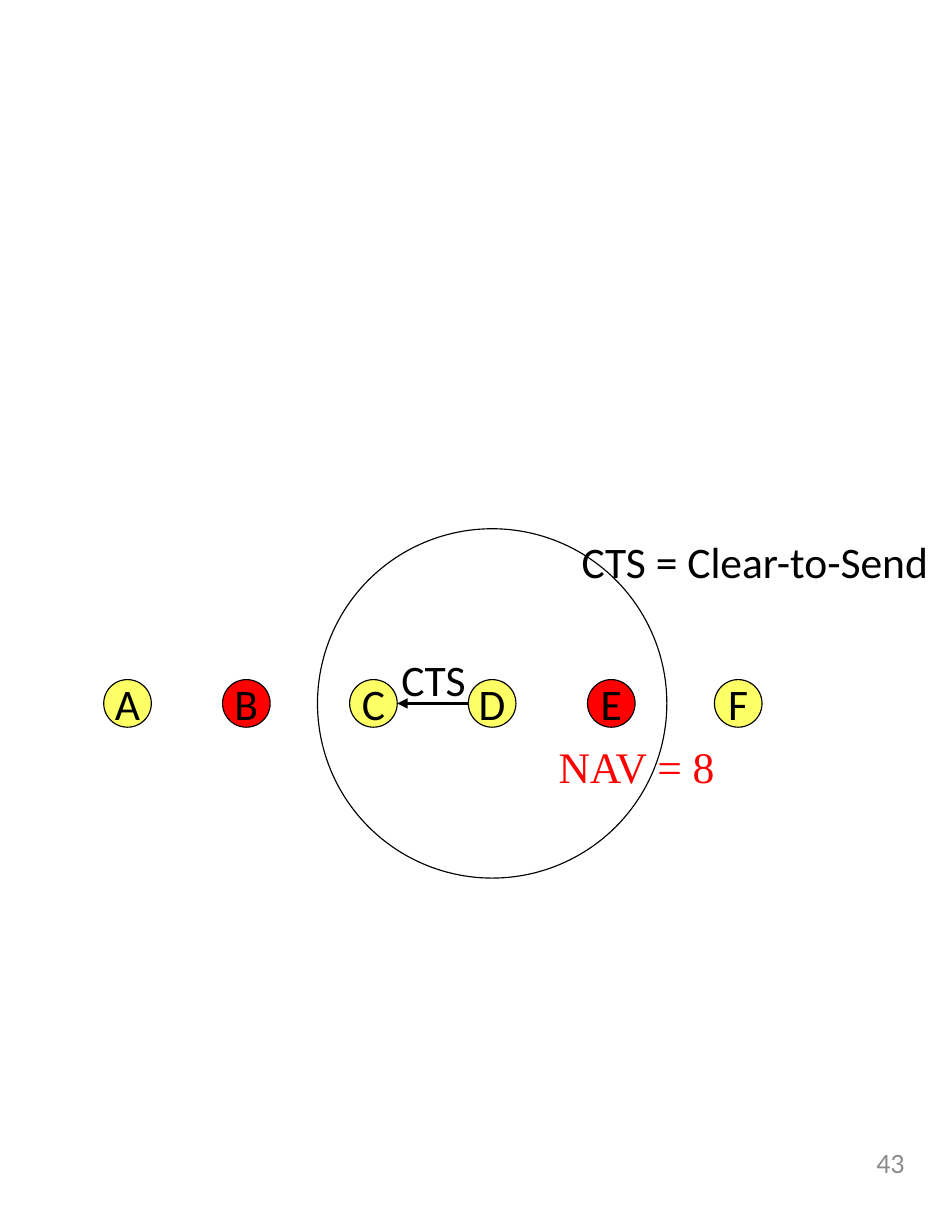
from pptx import Presentation
from pptx.dml.color import RGBColor
from pptx.enum.shapes import MSO_CONNECTOR, MSO_SHAPE
from pptx.enum.text import MSO_ANCHOR, PP_ALIGN
from pptx.oxml.ns import qn
from pptx.util import Pt
from lxml.etree import SubElement

BLACK = RGBColor(0x00, 0x00, 0x00)
GRAY = RGBColor(0x8C, 0x8C, 0x8C)
RED = RGBColor(0xFF, 0x00, 0x00)
YELLOW = RGBColor(0xFF, 0xFF, 0x66)


class Diagram:
    """Holds the style and the current slide; all lengths are in points."""
    font = "Calibri"
    size = 28
    outline = 0.75

    def __init__(self, slide):
        self.shapes = slide.shapes

    def set_text(self, tf, text, color, align, font=None, size=None):
        tf.text = text
        p = tf.paragraphs[0]
        p.alignment = align
        r = p.runs[0]
        r.font.name = font or self.font
        r.font.size = Pt(size or self.size)
        r.font.color.rgb = color

    def circle(self, cx, cy, diameter, fill=None, label=None):
        left, top = cx - diameter / 2, cy - diameter / 2
        sp = self.shapes.add_shape(MSO_SHAPE.OVAL, Pt(left), Pt(top),
                                   Pt(diameter), Pt(diameter))
        sp.shadow.inherit = False
        sp.line.color.rgb = BLACK
        sp.line.width = Pt(self.outline)
        if fill is None:
            sp.fill.background()
        else:
            sp.fill.solid()
            sp.fill.fore_color.rgb = fill
        if label:
            tf = sp.text_frame
            tf.word_wrap = False
            tf.vertical_anchor = MSO_ANCHOR.MIDDLE
            self.set_text(tf, label, BLACK, PP_ALIGN.CENTER)

    def text(self, left, top, width, height, text, color=BLACK,
             align=PP_ALIGN.CENTER, font=None, size=None, inset=None):
        box = self.shapes.add_textbox(Pt(left), Pt(top), Pt(width), Pt(height))
        tf = box.text_frame
        tf.word_wrap = False
        if inset is not None:
            tf.word_wrap = True
            tf.margin_left = tf.margin_right = Pt(inset)
            tf.margin_top = tf.margin_bottom = Pt(inset)
        self.set_text(tf, text, color, align, font, size)

    def arrow(self, x1, y1, x2, y2, width=2.25):
        line = self.shapes.add_connector(MSO_CONNECTOR.STRAIGHT,
                                         Pt(x1), Pt(y1), Pt(x2), Pt(y2))
        line.line.color.rgb = BLACK
        line.line.width = Pt(width)
        sp_pr = line._element.spPr
        SubElement(sp_pr.find(qn("a:ln")), qn("a:tailEnd"), type="triangle")
        SubElement(sp_pr, qn("a:effectLst"))


def main():
    prs = Presentation()
    prs.slide_width, prs.slide_height = Pt(612), Pt(792)
    s = prs.slides.add_slide(prs.slide_layouts[6])
    d = Diagram(s)

    # Page number
    d.text(440.6, 736.5, 141, 39.6, "43", GRAY, PP_ALIGN.RIGHT, size=18, inset=0)

    # Stations along one axis; those that must stay silent are red
    axis, node = 452.2, 30.6
    centers = {"A": 82, "B": 158.4, "C": 240.1, "D": 316.4, "E": 393, "F": 474.6}
    silent = "BE"
    for name, cx in centers.items():
        d.circle(cx, axis, node, RED if name in silent else YELLOW, name)

    # CTS sent from D to C, and the radio range of D
    d.arrow(centers["D"] - node / 2, axis, centers["C"] + node / 2, axis)
    d.circle(centers["D"], axis, 224.6)

    # Labels
    d.text(250.6, 416.2, 56.2, 41, "CTS")
    d.text(365, 340.6, 240.5, 41, "CTS = Clear-to-Send")
    d.text(352, 472.3, 116, 41, "NAV = 8", RED, PP_ALIGN.LEFT, "Times New Roman")

    prs.save("out.pptx")


if __name__ == "__main__":
    main()
